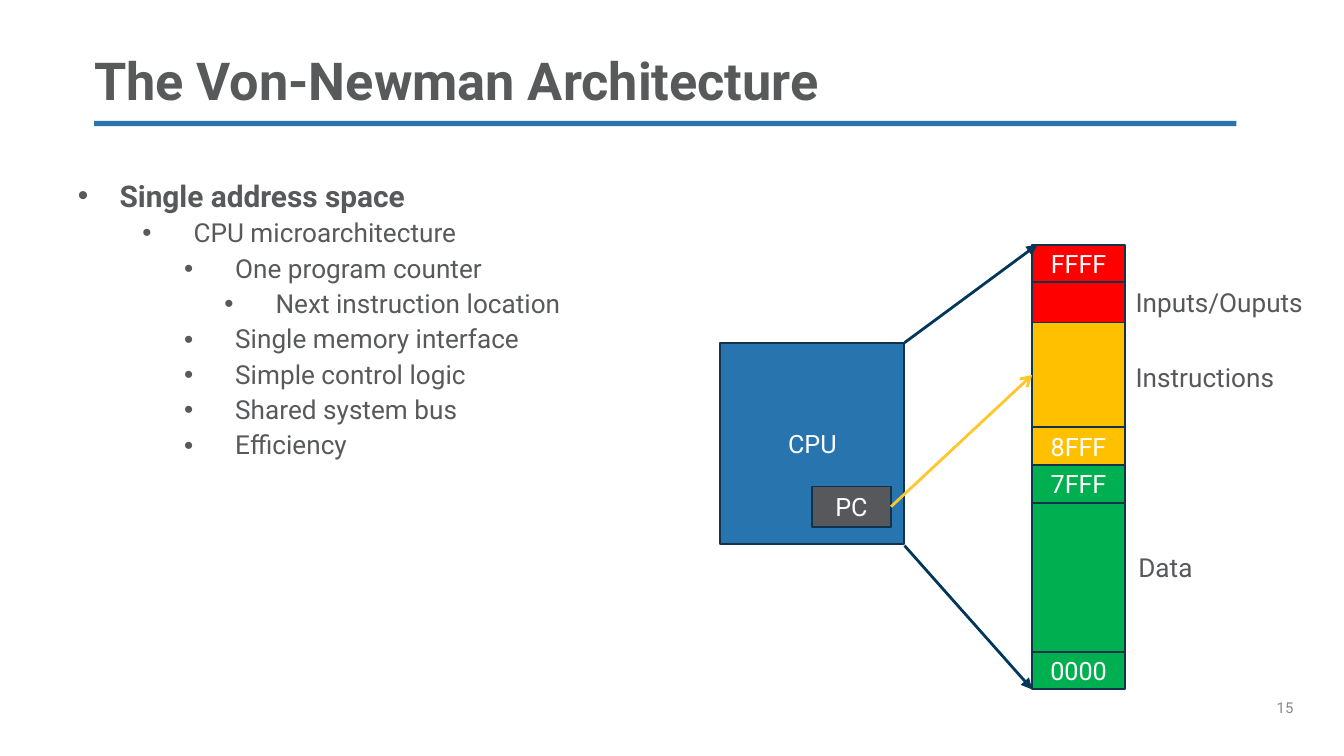
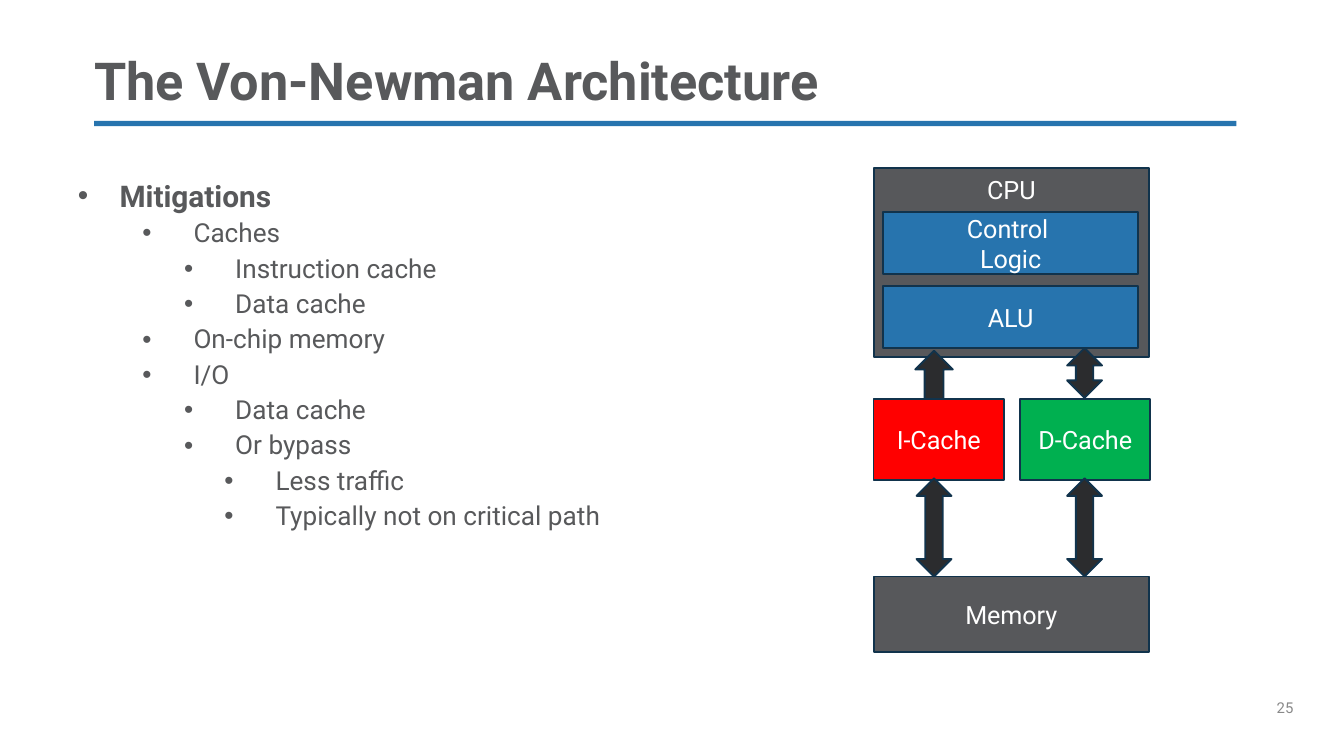
from lxml.etree import SubElement
from pptx import Presentation
from pptx.dml.color import RGBColor
from pptx.enum.shapes import MSO_CONNECTOR, MSO_SHAPE
from pptx.enum.text import MSO_ANCHOR, MSO_AUTO_SIZE, PP_ALIGN
from pptx.oxml.ns import qn
from pptx.util import Inches, Pt

FONT = "Roboto"
BLUE = RGBColor(0x27, 0x74, 0xAE)
NAVY = RGBColor(0x00, 0x37, 0x5B)
OUTLINE = RGBColor(0x11, 0x33, 0x4C)
TEXT_GRAY = RGBColor(0x58, 0x59, 0x5B)
GRAY = RGBColor(0x57, 0x58, 0x5B)
NUMBER_GRAY = RGBColor(0x89, 0x89, 0x89)
CHARCOAL = RGBColor(0x2B, 0x2C, 0x2E)
RED = RGBColor(0xFF, 0x00, 0x00)
ORANGE = RGBColor(0xFF, 0xC0, 0x00)
YELLOW = RGBColor(0xFF, 0xC7, 0x2B)
GREEN = RGBColor(0x00, 0xB0, 0x50)
WHITE = RGBColor(0xFF, 0xFF, 0xFF)

TITLE = "The Von-Newman Architecture"
# Left margin and hanging indent of each list level, in inches
INDENTS = [(0.31, 0.31), (0.86, 0.38), (1.17, 0.38), (1.47, 0.38)]
PLAIN_FRAME = {
    "margin_left": 0, "margin_top": 0, "margin_right": 0, "margin_bottom": 0,
    "word_wrap": True, "auto_size": MSO_AUTO_SIZE.NONE,
}

# Number, list width, list height and list items of each page
PAGES = [
    ("15", 7.5, 3.38, [
        (0, "Single address space"),
        (1, "CPU microarchitecture"),
        (2, "One program counter"),
        (3, "Next instruction location"),
        (2, "Single memory interface"),
        (2, "Simple control logic"),
        (2, "Shared system bus"),
        (2, "Efficiency"),
    ]),
    ("25", 4.65, 3.3, [
        (0, "Mitigations"),
        (1, "Caches"),
        (2, "Instruction cache"),
        (2, "Data cache"),
        (1, "On-chip memory"),
        (1, "I/O"),
        (2, "Data cache"),
        (2, "Or bypass"),
        (3, "Less traffic"),
        (3, "Typically not on critical path"),
    ]),
]


def write_text(frame, text, size, color, bold=False, align=PP_ALIGN.LEFT, plain=True):
    """Fill a frame, one paragraph a line; plain removes margins and autofit."""
    if plain:
        for name, value in PLAIN_FRAME.items():
            setattr(frame, name, value)
    frame.text = text
    for para in frame.paragraphs:
        para.alignment = align
        for span in para.runs:
            for name, value in {"name": FONT, "size": Pt(size), "bold": bold}.items():
                setattr(span.font, name, value)
            span.font.color.rgb = color


def add_box(page, text, left, top, width, height, fill,
            kind=MSO_SHAPE.RECTANGLE, anchor=MSO_ANCHOR.MIDDLE, outline=OUTLINE):
    box = page.shapes.add_shape(
        kind, Inches(left), Inches(top), Inches(width), Inches(height))
    box.shadow.inherit = False
    box.fill.solid()
    box.fill.fore_color.rgb = fill
    if outline is None:
        box.line.fill.background()
    else:
        box.line.color.rgb = outline
        box.line.width = Pt(1)
    if text:
        box.text_frame.vertical_anchor = anchor
        write_text(box.text_frame, text, 13.5, WHITE,
                   align=PP_ALIGN.CENTER, plain=False)
    return box


deck = Presentation()
deck.slide_width = Inches(10)
deck.slide_height = deck.slide_width * 9 // 16

# Title, rule, list and number of every page
for number, list_width, list_height, items in PAGES:
    page = deck.slides.add_slide(deck.slide_layouts[1])
    add_box(page, "", 0.7, 0.9, 8.5, 0.04, BLUE, outline=None)

    title = page.shapes.title
    title.left, title.top = Inches(0.7), Inches(0.4)
    title.width, title.height = Inches(8.5), Inches(0.43)
    write_text(title.text_frame, TITLE, 28, TEXT_GRAY, bold=True)
    title.text_frame.vertical_anchor = MSO_ANCHOR.BOTTOM
    title.text_frame.paragraphs[0].line_spacing = 0.9

    body = page.placeholders[1]
    body.left, body.top = Inches(0.58), Inches(1.32)
    body.width, body.height = Inches(list_width), Inches(list_height)
    write_text(body.text_frame, "\n".join(text for level, text in items), 14, TEXT_GRAY)
    for para, (level, text) in zip(body.text_frame.paragraphs, items):
        margin, hanging = INDENTS[level]
        para.level = level
        para.line_spacing = 0.9 if level else 1.0
        para.space_before = Pt(3.8 if level else 0)
        properties = para._p.get_or_add_pPr()
        properties.set("marL", str(Inches(margin)))
        properties.set("indent", str(-Inches(hanging)))
        SubElement(properties, qn("a:buFont")).set("typeface", "Arial")
        SubElement(properties, qn("a:buChar")).set("char", "•")
        if level == 0:
            para.runs[0].font.size = Pt(16)
            para.runs[0].font.bold = True

    number_box = page.shapes.add_textbox(
        Inches(9.5), Inches(5.2), Inches(0.5), Inches(0.4))
    write_text(number_box.text_frame, number, 8, NUMBER_GRAY)

address_page, cache_page = deck.slides

# Address space: the memory column is stacked downwards
add_box(address_page, "CPU", 5.36, 2.55, 1.37, 1.5, BLUE)
counter = add_box(address_page, "PC", 6.04, 3.62, 0.59, 0.3, GRAY)
memory_top = 1.82
segments = []
for text, height, fill in [
    ("FFFF", 0.28, RED), ("", 0.3, RED),
    ("", 0.78, ORANGE), ("8FFF", 0.28, ORANGE),
    ("7FFF", 0.28, GREEN), ("", 1.11, GREEN), ("0000", 0.28, GREEN),
]:
    segments.append(add_box(address_page, text, 7.68, memory_top, 0.69, height, fill))
    memory_top += height
instructions = segments[2]

for text, left, top in [
    ("Inputs/Ouputs", 8.45, 2.13), ("Instructions", 8.45, 2.69), ("Data", 8.47, 4.1),
]:
    label = address_page.shapes.add_textbox(
        Inches(left), Inches(top), Inches(1.27), Inches(0.24))
    write_text(label.text_frame, text, 14, GRAY)

for start_x, start_y, end_x, end_y, color, head in [
    (6.73, 2.55, 7.72, 1.82, NAVY, "triangle"),
    (6.73, 4.06, 7.68, 5.13, NAVY, "triangle"),
    (6.63, 3.77, 7.68, 2.79, YELLOW, "arrow"),
]:
    arrow = address_page.shapes.add_connector(
        MSO_CONNECTOR.STRAIGHT, Inches(start_x), Inches(start_y),
        Inches(end_x), Inches(end_y))
    arrow.line.color.rgb = color
    arrow.line.width = Pt(1.5)
    SubElement(arrow.line._get_or_add_ln(), qn("a:tailEnd")).set("type", head)
    SubElement(arrow._element.spPr, qn("a:effectLst"))
# The last arrow runs from the program counter to the instructions
arrow.begin_connect(counter, 3)
arrow.end_connect(instructions, 1)

# Caches between the processor and memory
add_box(cache_page, "CPU", 6.5, 1.25, 2.05, 1.41, GRAY, anchor=MSO_ANCHOR.TOP)
for text, left, top, width, height, fill in [
    ("Control \nLogic", 6.57, 1.58, 1.9, 0.46, BLUE),
    ("ALU", 6.57, 2.13, 1.9, 0.46, BLUE),
    ("I-Cache", 6.5, 2.97, 0.97, 0.6, RED),
    ("D-Cache", 7.59, 2.97, 0.97, 0.6, GREEN),
    ("Memory", 6.5, 4.29, 2.05, 0.56, GRAY),
]:
    add_box(cache_page, text, left, top, width, height, fill)
for kind, left, top, width, height in [
    (MSO_SHAPE.UP_ARROW, 6.81, 2.61, 0.28, 0.36),
    (MSO_SHAPE.UP_DOWN_ARROW, 7.94, 2.59, 0.26, 0.37),
    (MSO_SHAPE.UP_DOWN_ARROW, 6.82, 3.56, 0.26, 0.73),
    (MSO_SHAPE.UP_DOWN_ARROW, 7.94, 3.56, 0.26, 0.73),
]:
    add_box(cache_page, "", left, top, width, height, CHARCOAL, kind)

deck.save("out.pptx")
